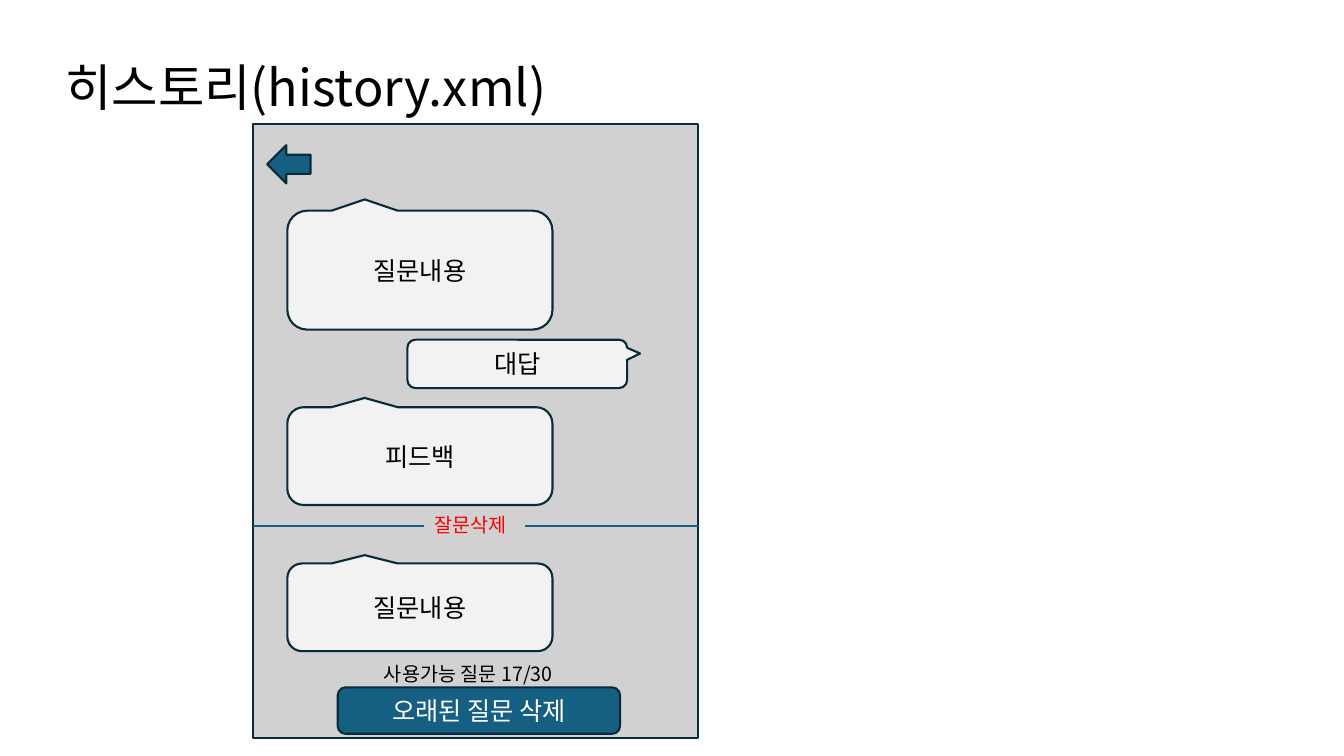
from dataclasses import dataclass
from lxml.etree import SubElement
from pptx import Presentation
from pptx.dml.color import RGBColor as Rgb
from pptx.enum.shapes import MSO_CONNECTOR as Conn, MSO_SHAPE as Kind
from pptx.enum.text import MSO_ANCHOR as Anchor, PP_ALIGN as Align
from pptx.oxml.ns import qn
from pptx.util import Inches, Pt


@dataclass
class Theme:
    font: str = "Noto Sans CJK KR"
    ink: str = "000000"
    white: str = "FFFFFF"
    red: str = "FF0000"
    panel: str = "D1D1D1"
    bubble: str = "F2F2F2"
    accent: str = "156082"
    edge: str = "092A39"
    title: int = 36
    body: int = 18
    small: int = 14
    stroke: float = 1.5


look = Theme()

PANEL = (2.51, 1.23, 4.41, 6.09)
BACK = (2.65, 1.44, 0.43, 0.38)
BUTTON = ("오래된 질문 삭제", (3.35, 6.82, 2.8, 0.46))
UP = (-0.208, -0.595, 0.167)
RIGHT = (0.559, -0.215, 0.167)
BUBBLES = [
    ("질문내용", (2.85, 2.09, 2.63, 1.18), UP),
    ("대답", (4.04, 3.37, 2.18, 0.48), RIGHT),
    ("피드백", (2.85, 4.04, 2.63, 0.97), UP),
    ("질문내용", (2.85, 5.59, 2.63, 0.87), UP),
]
TITLE = ("히스토리(history.xml)", (0.55, 0.17, 11.5, 1.45))
COUNT = ("사용가능 질문 17/30", (3.71, 6.49, 2.62, 0.42))
DELETE = ("잘문삭제", (4.21, 5.01, 1, 0.42))

deck = Presentation()
deck.slide_width, deck.slide_height = Inches(13.33), Inches(7.5)
slide = deck.slides.add_slide(deck.slide_layouts[6])
shapes = slide.shapes


def write(shape, text, size, color, align):
    frame = shape.text_frame
    frame.text = text
    frame.word_wrap = True
    frame.vertical_anchor = Anchor.MIDDLE
    para = frame.paragraphs[0]
    para.alignment = align
    run = para.runs[0]
    run.font.size = Pt(size)
    run.font.name = look.font
    run.font.color.rgb = Rgb.from_string(color)
    SubElement(run.font._element, qn("a:ea"), typeface=look.font)
    return para


def draw(kind, box, fill, adjust=()):
    shape = shapes.add_shape(kind, *map(Inches, box))
    shape.shadow.inherit = False
    shape.fill.solid()
    shape.fill.fore_color.rgb = Rgb.from_string(fill)
    shape.line.color.rgb = Rgb.from_string(look.edge)
    shape.line.width = Pt(look.stroke)
    for i, value in enumerate(adjust):
        shape.adjustments[i] = value
    return shape


def label(item, size, color):
    text, box = item
    shape = shapes.add_textbox(*map(Inches, box))
    write(shape, text, size, color, Align.LEFT).line_spacing = 0.9
    return shape


def rule(start, end, y):
    line = shapes.add_connector(Conn.STRAIGHT, *map(Inches, (start, y, end, y)))
    line.line.color.rgb = Rgb.from_string(look.accent)
    line.line.width = Pt(look.stroke)
    SubElement(line._element.spPr, qn("a:effectLst"))
    return line


label(TITLE, look.title, look.ink)
draw(Kind.RECTANGLE, PANEL, look.panel)
for text, box, tail in BUBBLES:
    bubble = draw(Kind.ROUNDED_RECTANGULAR_CALLOUT, box, look.bubble, tail)
    write(bubble, text, look.body, look.ink, Align.CENTER)
draw(Kind.LEFT_ARROW, BACK, look.accent)

text, box = BUTTON
button = draw(Kind.ROUNDED_RECTANGLE, box, look.accent)
write(button, text, look.body, look.white, Align.CENTER)

label(COUNT, look.small, look.ink)
delete = label(DELETE, look.small, look.red)

left, top, width, height = DELETE[1]
middle = top + height / 2
rule(PANEL[0], left, middle).end_connect(delete, 1)
rule(left + width, PANEL[0] + PANEL[2], middle).begin_connect(delete, 3)

deck.save("out.pptx")
